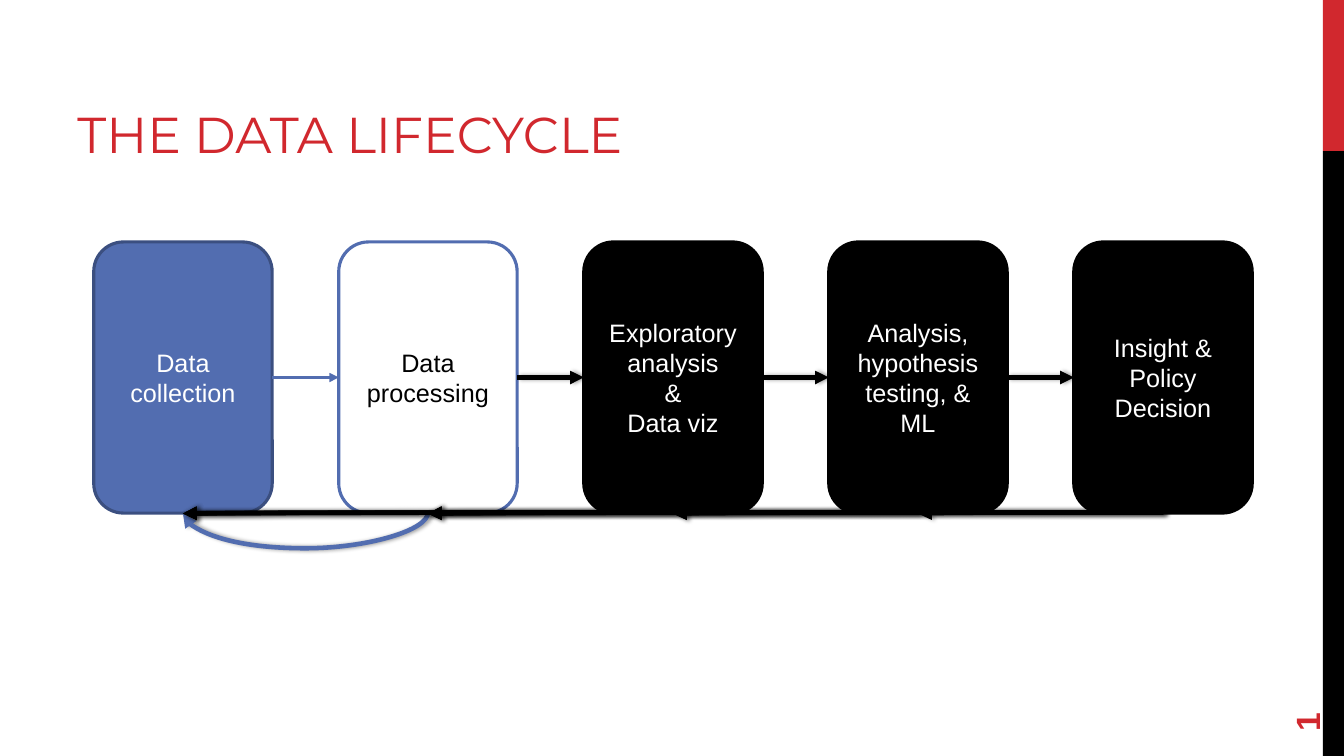
from lxml.etree import SubElement
from pptx import Presentation
from pptx.dml.color import RGBColor
from pptx.enum.shapes import MSO_CONNECTOR, MSO_SHAPE
from pptx.enum.text import MSO_ANCHOR, PP_ALIGN
from pptx.oxml.ns import qn
from pptx.util import Inches, Pt

RED, BLACK, WHITE = "D1282E", "000000", "FFFFFF"
BLUE, DARK_BLUE = "526DB0", "3B4F80"

# text, fill, outline, text colour, arrow colour
STAGES = [
    ("Data collection", BLUE, DARK_BLUE, WHITE, None),
    ("Data processing", WHITE, BLUE, BLACK, BLUE),
    ("Exploratory analysis\n&\nData viz", BLACK, BLACK, WHITE, BLACK),
    ("Analysis, hypothesis testing, & ML", BLACK, BLACK, WHITE, BLACK),
    ("Insight & Policy Decision", BLACK, BLACK, WHITE, BLACK),
]
BOX_WIDTH, BOX_HEIGHT, PITCH = 1.77, 2.69, 2.43
LOOP_THICKNESS = 0.01


def color(value):
    return RGBColor.from_string(value)


def write_text(shape, text, size, font, text_color, anchor, align=PP_ALIGN.LEFT, bold=False):
    frame = shape.text_frame
    frame.word_wrap = True
    frame.vertical_anchor = anchor
    frame.text = text
    for paragraph in frame.paragraphs:
        paragraph.alignment = align
        paragraph.font.size = Pt(size)
        paragraph.font.name = font
        paragraph.font.bold = bold
        paragraph.font.color.rgb = color(text_color)


def add_block(slide, kind, left, top, width, height, fill, outline=None):
    shape = slide.shapes.add_shape(kind, Inches(left), Inches(top), Inches(width), Inches(height))
    shape.shadow.inherit = False
    shape.fill.solid()
    shape.fill.fore_color.rgb = color(fill)
    if outline:
        shape.line.color.rgb = color(outline)
        shape.line.width = Pt(2.25)
    else:
        shape.line.fill.background()
    return shape


def add_arrow(slide, kind, start, end, line_color, width, shadow):
    connector = slide.shapes.add_connector(kind, *(Inches(value) for value in start + end))
    connector.line.color.rgb = color(line_color)
    connector.line.width = Pt(width)
    SubElement(connector.line._get_or_add_ln(), qn("a:tailEnd"), type="triangle")
    effects = SubElement(connector._element.spPr, qn("a:effectLst"))
    if shadow:
        outer = SubElement(effects, qn("a:outerShdw"), blurRad="40000", dist="23000",
                           dir="0", rotWithShape="0")
        shade = SubElement(outer, qn("a:srgbClr"), val=BLACK)
        SubElement(shade, qn("a:alpha"), val="40000")
    return connector


def add_loop(slide, start_x, end_x, y, sag, line_color):
    """Curved arrow going back to the left: a thin upright curve turned by 90 degrees."""
    center, span = (start_x + end_x) / 2, start_x - end_x
    left = center - LOOP_THICKNESS / 2
    start, end = (left, y - span / 2), (left + LOOP_THICKNESS, y + span / 2)
    loop = add_arrow(slide, MSO_CONNECTOR.CURVE, start, end, line_color, 3.25, True)
    properties = loop._element.spPr
    properties.find(qn("a:xfrm")).set("rot", str(90 * 60000))
    adjustments = properties.find(qn("a:prstGeom")).get_or_add_avLst()
    SubElement(adjustments, qn("a:gd"), name="adj1",
               fmla=f"val {round(sag / LOOP_THICKNESS * 100000)}")


def add_frame(slide, left, top, width, height):
    # Side bar and slide number
    red_height = height / 5
    add_block(slide, MSO_SHAPE.RECTANGLE, left, top, width, red_height, RED)
    add_block(slide, MSO_SHAPE.RECTANGLE, left, top + red_height, width, height - red_height, BLACK)
    number = slide.shapes.add_textbox(Inches(left - 0.88), Inches(top + 6.37),
                                      Inches(1.44), Inches(0.53))
    number.rotation = 270
    write_text(number, "1", 24, "Arial", RED, MSO_ANCHOR.MIDDLE, bold=True)


def add_title(slide, left, top, width, height):
    title = slide.shapes.add_textbox(Inches(left), Inches(top), Inches(width), Inches(height))
    write_text(title, "THE DATA LIFECYCLE", 36, "Montserrat", RED, MSO_ANCHOR.BOTTOM)


def add_lifecycle(slide, left, top):
    middle, bottom = top + BOX_HEIGHT / 2, top + BOX_HEIGHT
    centers = [left + index * PITCH + BOX_WIDTH / 2 for index in range(len(STAGES))]
    for index, (text, fill, outline, text_color, arrow_color) in enumerate(STAGES):
        # Stage box
        box_left = left + index * PITCH
        box = add_block(slide, MSO_SHAPE.ROUNDED_RECTANGLE, box_left, top,
                        BOX_WIDTH, BOX_HEIGHT, fill, outline)
        write_text(box, text, 18, "Arial", text_color, MSO_ANCHOR.MIDDLE, PP_ALIGN.CENTER)
        if index == 0:
            continue
        # Arrow from the stage before
        first_step = index == 1
        add_arrow(slide, MSO_CONNECTOR.STRAIGHT, (box_left - PITCH + BOX_WIDTH, middle),
                  (box_left, middle), arrow_color, 2.25 if first_step else 3.25, not first_step)
        # Loops back to every earlier stage
        for target in reversed(range(index)):
            sag = 0.36 if first_step else 0
            add_loop(slide, centers[index], centers[target], bottom, sag, arrow_color)


def main():
    presentation = Presentation()
    presentation.slide_width, presentation.slide_height = Inches(13.33), Inches(7.5)
    slide = presentation.slides.add_slide(presentation.slide_layouts[6])
    add_frame(slide, 13.12, 0, 0.21, 7.5)
    add_title(slide, 0.67, 0.17, 8.44, 1.5)
    add_lifecycle(slide, 0.93, 2.4)
    presentation.save("out.pptx")


if __name__ == "__main__":
    main()
